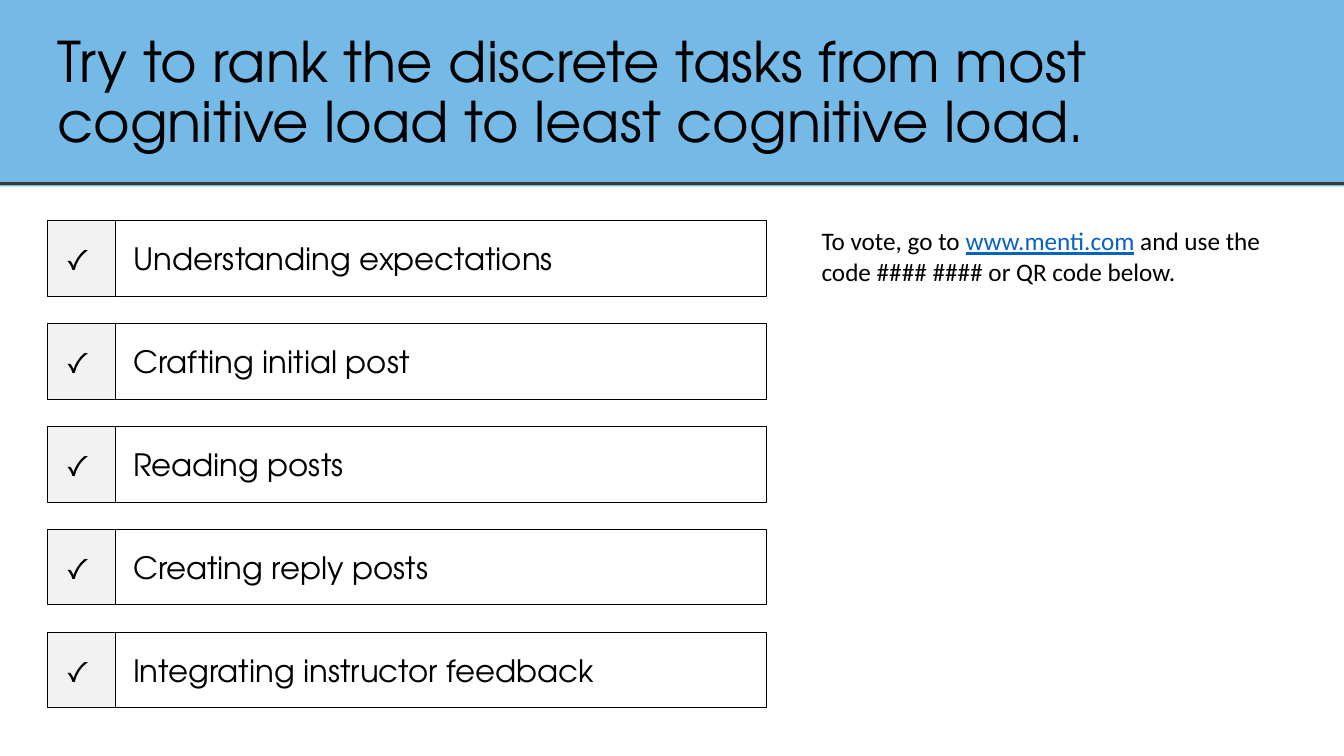
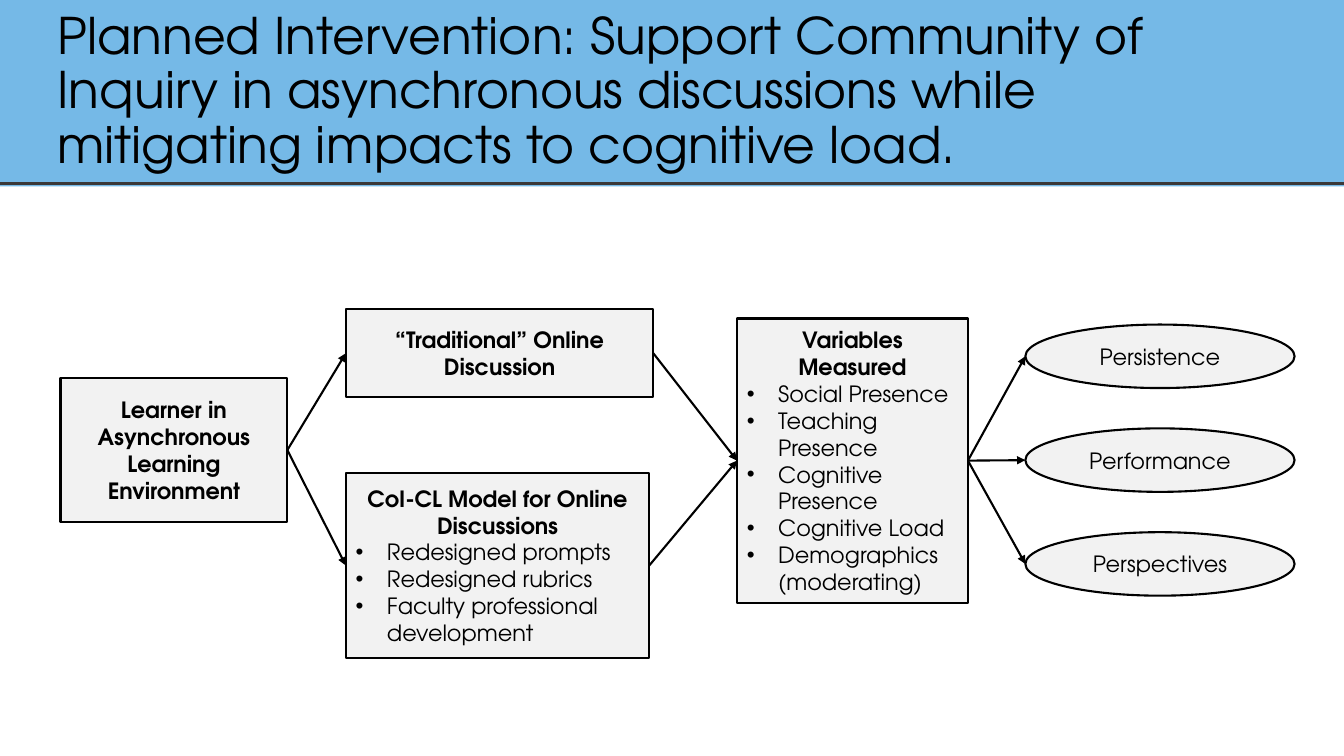
from dataclasses import dataclass

from lxml import etree
from pptx import Presentation
from pptx.dml.color import RGBColor
from pptx.enum.shapes import MSO_CONNECTOR, MSO_SHAPE
from pptx.enum.text import MSO_ANCHOR, PP_ALIGN
from pptx.oxml.ns import qn
from pptx.util import Inches, Pt

BLACK = RGBColor(0x00, 0x00, 0x00)
WHITE = RGBColor(0xFF, 0xFF, 0xFF)
SKY = RGBColor(0x75, 0xB9, 0xE7)
CHARCOAL = RGBColor(0x3B, 0x38, 0x38)
PALE_GREY = RGBColor(0xF2, 0xF2, 0xF2)
LINK_BLUE = RGBColor(0x05, 0x63, 0xC1)

HEAD_FONT = "TeX Gyre Adventor"
BODY_FONT = "Calibri"
SLIDE_W, SLIDE_H = 13.33, 7.5
MARGIN = 0.47
INSET = 0.1
BULLET_INDENT = 0.31

RECT_RIGHT = 3
RECT_LEFT = 1
ELLIPSE_LEFT = 2


@dataclass(frozen=True)
class Node:
    """A box or ellipse of the flow diagram."""
    left: float
    top: float
    width: float
    height: float
    text: str
    bullets: tuple[str, ...] = ()
    kind: MSO_SHAPE = MSO_SHAPE.RECTANGLE


TASKS = (
    "Understanding expectations",
    "Crafting initial post",
    "Reading posts",
    "Creating reply posts",
    "Integrating instructor feedback",
)

NODES = {
    "learner": Node(0.6, 3.75, 2.25, 1.43,
                    "Learner in Asynchronous Learning Environment"),
    "traditional": Node(3.43, 3.07, 3.05, 0.87,
                        "“Traditional” Online Discussion"),
    "model": Node(3.43, 4.69, 3.01, 1.84,
                  "CoI-CL Model for Online Discussions",
                  ("Redesigned prompts", "Redesigned rubrics",
                   "Faculty professional development")),
    "variables": Node(7.31, 3.16, 2.29, 2.82, "Variables Measured",
                      ("Social Presence", "Teaching Presence",
                       "Cognitive Presence", "Cognitive Load",
                       "Demographics (moderating)")),
}
OUTCOMES = ("Persistence", "Performance", "Perspectives")
NODES |= {
    name: Node(10.17, 3.22 + 1.03 * i, 2.67, 0.63, name, kind=MSO_SHAPE.OVAL)
    for i, name in enumerate(OUTCOMES)
}

ARROWS = (
    ("learner", "traditional"),
    ("learner", "model"),
    ("traditional", "variables"),
    ("model", "variables"),
    *(("variables", name) for name in OUTCOMES),
)


def add_run(p, text, *, size, font=HEAD_FONT, color=BLACK, bold=False,
            underline=False):
    r = p.add_run()
    r.text = text
    r.font.name = font
    r.font.size = Pt(size)
    r.font.color.rgb = color
    r.font.bold = bold
    r.font.underline = underline


def set_frame(tf, *, anchor=MSO_ANCHOR.MIDDLE, inset=INSET):
    tf.word_wrap = True
    tf.vertical_anchor = anchor
    tf.margin_left = Inches(inset)


def add_box(slide, left, top, width, height, *, fill, line_width=None,
            kind=MSO_SHAPE.RECTANGLE):
    s = slide.shapes.add_shape(kind, Inches(left), Inches(top),
                               Inches(width), Inches(height))
    s.shadow.inherit = False
    s.fill.solid()
    s.fill.fore_color.rgb = fill
    if line_width is None:
        s.line.fill.background()
    else:
        s.line.color.rgb = BLACK
        s.line.width = Pt(line_width)
    return s


def add_line(slide, x1, y1, x2, y2, *, color=BLACK, width=1.5):
    """Draw a straight line between points given in EMU."""
    c = slide.shapes.add_connector(MSO_CONNECTOR.STRAIGHT, x1, y1, x2, y2)
    c.line.color.rgb = color
    c.line.width = Pt(width)
    etree.SubElement(c._element.spPr, qn("a:effectLst"))
    return c


def add_arrow(slide, start, end):
    """Join the right side of one node to the left side of another."""
    x, y = end.left, end.top + end.height // 2
    c = add_line(slide, start.left + start.width,
                 start.top + start.height // 2, x, y)
    c.begin_connect(start, RECT_RIGHT)
    is_oval = end.auto_shape_type == MSO_SHAPE.OVAL
    c.end_connect(end, ELLIPSE_LEFT if is_oval else RECT_LEFT)
    c.end_x, c.end_y = x, y
    etree.SubElement(c.line._get_or_add_ln(), qn("a:tailEnd"),
                     type="triangle")


def add_bullet(tf, text, *, size):
    p = tf.add_paragraph()
    p.alignment = PP_ALIGN.LEFT
    pPr = p._p.get_or_add_pPr()
    pPr.set("marL", str(Inches(BULLET_INDENT)))
    pPr.set("indent", str(-Inches(BULLET_INDENT)))
    etree.SubElement(pPr, qn("a:buFont"), typeface="Arial")
    etree.SubElement(pPr, qn("a:buChar"), char="•")
    add_run(p, text, size=size)


def add_text_box(slide, left, top, width, height, *, anchor):
    tf = slide.shapes.add_textbox(Inches(left), Inches(top), Inches(width),
                                  Inches(height)).text_frame
    set_frame(tf, anchor=anchor)
    return tf


def add_titled_slide(prs, title, *, size, top):
    slide = prs.slides.add_slide(prs.slide_layouts[6])
    add_box(slide, 0, 0, SLIDE_W, 1.85, fill=SKY)
    tf = add_text_box(slide, MARGIN, top, 12.37, 1.45,
                      anchor=MSO_ANCHOR.MIDDLE)
    p = tf.paragraphs[0]
    p.line_spacing = 0.9
    add_run(p, title, size=size)
    add_line(slide, 0, Inches(1.82), Inches(SLIDE_W), Inches(1.82),
             color=CHARCOAL, width=2.25)
    return slide


def add_task(slide, top, task):
    check_w, task_w = 0.67, 6.46
    cells = ((MARGIN, check_w, PALE_GREY, "✓"),
             (MARGIN + check_w, task_w, WHITE, task))
    for left, width, fill, text in cells:
        s = add_box(slide, left, top, width, 0.75, fill=fill, line_width=0.5)
        set_frame(s.text_frame, inset=0.18)
        p = s.text_frame.paragraphs[0]
        p.alignment = PP_ALIGN.LEFT
        add_run(p, text, size=22)


def add_node(slide, node):
    s = add_box(slide, node.left, node.top, node.width, node.height,
                fill=PALE_GREY, line_width=1.5, kind=node.kind)
    tf = s.text_frame
    set_frame(tf)
    p = tf.paragraphs[0]
    p.alignment = PP_ALIGN.CENTER
    add_run(p, node.text, size=16, bold=node.kind == MSO_SHAPE.RECTANGLE)
    for bullet in node.bullets:
        add_bullet(tf, bullet, size=16)
    return s


def build_ranking(prs):
    slide = add_titled_slide(
        prs, "Try to rank the discrete tasks from most cognitive load to "
        "least cognitive load.", size=40, top=0.21)
    for i, task in enumerate(TASKS):
        add_task(slide, 2.19 + 1.02 * i, task)
    tf = add_text_box(slide, 8.05, 2.19, 4.8, 0.71, anchor=MSO_ANCHOR.TOP)
    p = tf.paragraphs[0]
    add_run(p, "To vote, go to ", size=18, font=BODY_FONT)
    add_run(p, "www.menti.com", size=18, font=BODY_FONT, color=LINK_BLUE,
            underline=True)
    add_run(p, " and use the code #### #### or QR code below.", size=18,
            font=BODY_FONT)


def build_intervention(prs):
    slide = add_titled_slide(
        prs, "Planned Intervention: Support Community of Inquiry in "
        "asynchronous discussions while mitigating impacts to cognitive "
        "load.", size=36, top=0.19)
    shapes = {name: add_node(slide, node) for name, node in NODES.items()}
    for start, end in ARROWS:
        add_arrow(slide, shapes[start], shapes[end])


def main():
    prs = Presentation()
    prs.slide_width = Inches(SLIDE_W)
    prs.slide_height = Inches(SLIDE_H)
    build_ranking(prs)
    build_intervention(prs)
    prs.save("out.pptx")


if __name__ == "__main__":
    main()
